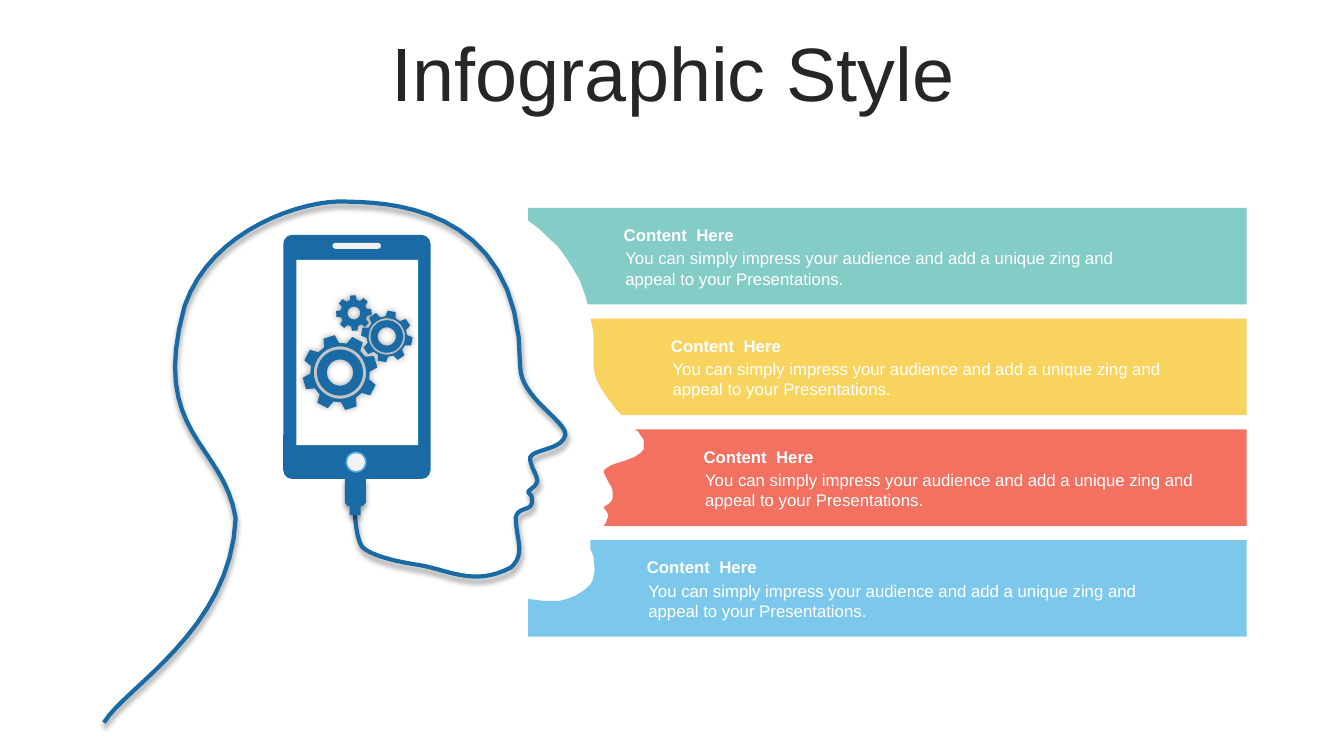
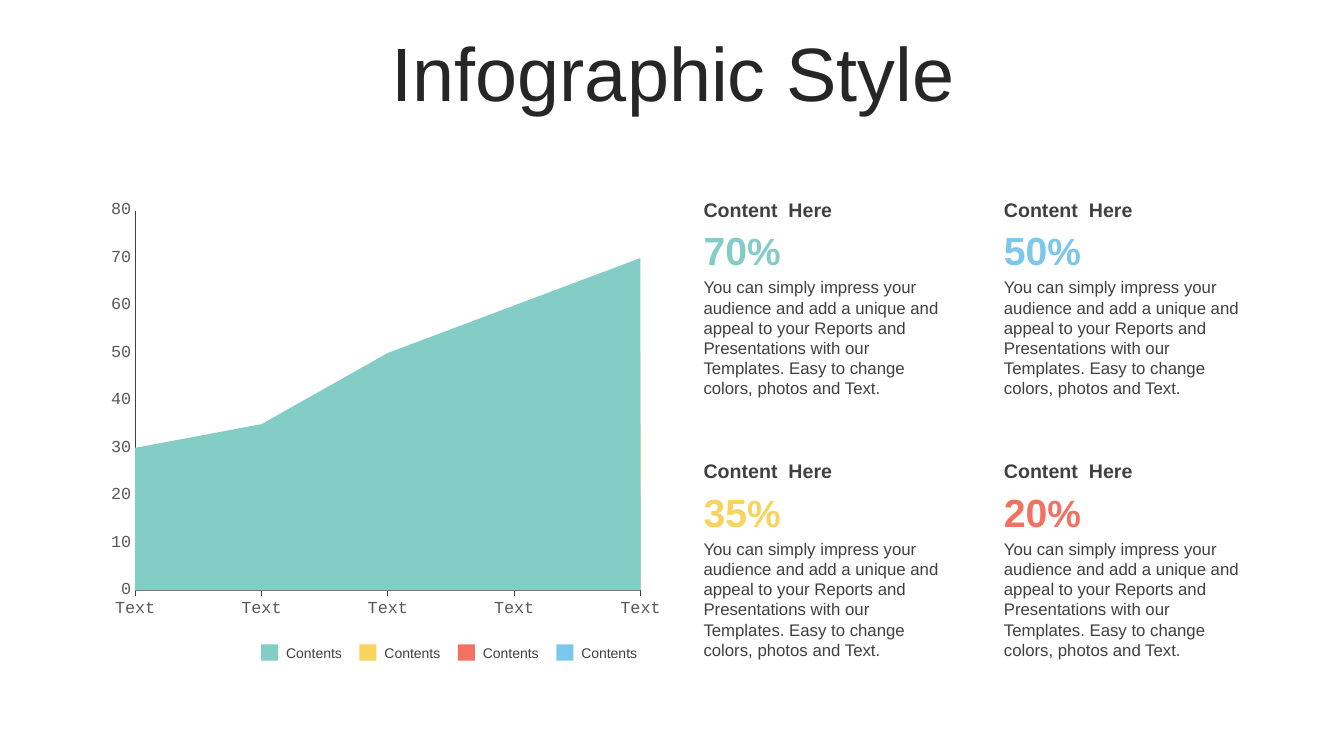
"""Build two infographic slides: a head with four bands, and an area chart with figures."""
import dataclasses
import math

import lxml.etree
import pptx
import pptx.chart.data
import pptx.dml.color
import pptx.enum.chart
import pptx.enum.shapes
import pptx.enum.text
import pptx.oxml.ns
import pptx.util

Cm = pptx.util.Cm
Pt = pptx.util.Pt
SHAPE = pptx.enum.shapes.MSO_SHAPE
MIDDLE = pptx.enum.text.MSO_ANCHOR.MIDDLE
TOP = pptx.enum.text.MSO_ANCHOR.TOP


@dataclasses.dataclass(frozen=True)
class Theme:
    """Colours, fonts and type sizes of the deck."""
    font: str = "Arial"
    chart_font: str = "Courier New"
    title_ink: str = "262626"
    ink: str = "404040"
    axis_ink: str = "595959"
    white: str = "FFFFFF"
    light: str = "F2F2F2"
    blue: str = "1A6BA5"
    button_rim: str = "5AABE5"
    teal: str = "84CCC6"
    yellow: str = "F8D45E"
    coral: str = "F27161"
    sky: str = "7CC8EC"
    title_size: int = 54
    figure_size: int = 28
    percent_size: int = 27
    heading_size: int = 14
    body_size: int = 12
    legend_size: int = 10


THEME = Theme()
ACCENTS = (THEME.teal, THEME.yellow, THEME.coral, THEME.sky)
TITLE = "Infographic Style"
HEADING = "Content  Here"
BAND_TEXT = ("You can simply impress your audience and add a unique zing and "
             "appeal to your Presentations.")
FIGURE_TEXT = ("You can simply impress your audience and add a unique and appeal to your "
               "Reports and Presentations with our Templates. Easy to change colors, "
               "photos and Text.")

BAND_TOP, BAND_PITCH, BAND_HEIGHT, BAND_RIGHT = 5.24, 2.79, 2.43, 31.42
BAND_TEXT_LEFTS = (15.47, 16.66, 17.48, 16.05)
FACE_EDGES = (
    [(14.81, 7.67), (14.73, 7.39), (14.61, 7.06), (14.45, 6.78), (14.27, 6.5),
     (14.07, 6.22), (13.82, 5.99), (13.59, 5.77), (13.31, 5.56), (13.31, 5.24)],
    [(15.67, 10.46), (15.52, 10.31), (15.39, 10.13), (15.27, 9.98), (15.14, 9.78),
     (15.04, 9.58), (14.99, 9.42), (14.96, 9.25), (14.96, 8.48), (14.94, 8.28),
     (14.88, 8.03)],
    [(15.21, 13.25), (15.27, 13.18), (15.32, 13.03), (15.32, 12.95), (15.29, 12.9),
     (15.21, 12.78), (15.34, 12.7), (15.42, 12.62), (15.44, 12.55), (15.44, 12.37),
     (15.42, 12.29), (15.32, 12.12), (15.24, 11.96), (15.21, 11.86), (15.29, 11.79),
     (15.39, 11.73), (15.52, 11.68), (15.75, 11.61), (16, 11.51), (16.08, 11.46),
     (16.18, 11.38), (16.23, 11.3), (16.23, 11.1), (16.18, 11.02), (16.08, 10.87),
     (16, 10.82)],
    [(13.31, 16.04), (13.31, 15.09), (13.46, 15.11), (13.67, 15.14), (14.1, 15.14),
     (14.3, 15.09), (14.5, 15.01), (14.71, 14.88), (14.88, 14.73), (14.94, 14.61),
     (14.99, 14.35), (14.96, 14.07), (14.94, 13.97), (14.88, 13.84), (14.88, 13.61)],
)
HEAD_START = (8.94, 12.88)
HEAD_CURVES = (
    ((8.94, 12.88), (8.97, 13.61), (9.14, 13.79)),
    ((9.32, 13.97), (9.83, 14.12), (10.44, 14.22)),
    ((11.28, 14.33), (11.91, 14.81), (12.88, 14.3)),
    ((13.26, 13.94), (13, 13.59), (13, 13.03)),
    ((13.08, 12.75), (13.41, 12.9), (13.41, 12.62)),
    ((13.41, 12.47), (13.36, 12.47), (13.31, 12.4)),
    ((13.39, 12.29), (13.51, 12.27), (13.54, 12.12)),
    ((13.54, 11.96), (13.36, 11.76), (13.36, 11.53)),
    ((13.46, 11.3), (14.17, 11.35), (14.25, 10.95)),
    ((14.25, 10.59), (13.13, 10.03), (13.11, 9.25)),
    ((13.13, 5), (9.47, 5.11), (8.69, 5.08)),
    ((7.7, 5.03), (5.33, 5.74), (4.65, 7.72)),
    ((3.76, 10.95), (5.64, 11.15), (5.94, 13.06)),
    ((5.82, 15.88), (3.15, 17.32), (2.62, 18.21)),
)
PLUG = [(8.69, 12.04), (9.22, 12.04), (9.22, 12.67), (9.14, 12.75), (9.09, 12.75),
        (9.09, 12.98), (8.81, 12.98), (8.81, 12.75), (8.76, 12.75), (8.69, 12.67)]


def rgb(colour):
    """Return the colour object for a hex string."""
    return pptx.dml.color.RGBColor.from_string(colour)


def style_font(font, size, colour, name=THEME.font, bold=False):
    """Set the usual font properties."""
    font.name, font.size, font.bold = name, Pt(size), bold
    font.color.rgb = rgb(colour)


def paint(shape, fill):
    """Give a shape a flat fill without line or shadow."""
    shape.shadow.inherit = False
    shape.line.fill.background()
    shape.fill.solid()
    shape.fill.fore_color.rgb = rgb(fill)


def add_shadow(shape, blur, distance):
    """Add a soft black shadow falling straight down."""
    shape.shadow.inherit = False
    effects = shape._element.spPr.find(pptx.oxml.ns.qn("a:effectLst"))
    shadow = lxml.etree.SubElement(
        effects, pptx.oxml.ns.qn("a:outerShdw"), blurRad=str(Pt(blur)),
        dist=str(Pt(distance)), dir="5400000", algn="ctr", rotWithShape="0")
    colour = lxml.etree.SubElement(shadow, pptx.oxml.ns.qn("a:srgbClr"), val="000000")
    lxml.etree.SubElement(colour, pptx.oxml.ns.qn("a:alpha"), val="40000")


def add_preset(slide, kind, left, top, width, height, fill):
    """Add a filled preset shape."""
    shape = slide.shapes.add_shape(kind, Cm(left), Cm(top), Cm(width), Cm(height))
    paint(shape, fill)
    return shape


def add_outline(slide, contours, closed=True):
    """Add one freeform made of several contours."""
    contours = [[(Cm(x), Cm(y)) for x, y in contour] for contour in contours]
    builder = slide.shapes.build_freeform(*contours[0][0], scale=1.0)
    for number, contour in enumerate(contours):
        if number:
            builder.move_to(*contour[0])
        builder.add_line_segments(contour[1:], close=closed)
    return builder.convert_to_shape()


def add_text(slide, text, left, top, width, height, size, colour, bold=False, anchor=MIDDLE):
    """Add a wrapped text box with one paragraph and return the paragraph."""
    box = slide.shapes.add_textbox(Cm(left), Cm(top), Cm(width), Cm(height))
    box.text_frame.word_wrap = True
    box.text_frame.vertical_anchor = anchor
    para = box.text_frame.paragraphs[0]
    para.text = text
    for span in para.runs:
        style_font(span.font, size, colour, bold=bold)
    return para


def add_titled_slide(deck):
    """Add a slide with the shared title style."""
    slide = deck.slides.add_slide(deck.slide_layouts.get_by_name("Title Only"))
    title = slide.shapes.title
    title.left, title.top, title.width, title.height = Cm(0.89), Cm(0.94), Cm(32.16), Cm(2.01)
    frame = title.text_frame
    frame.text = TITLE
    frame.auto_size = pptx.enum.text.MSO_AUTO_SIZE.NONE
    frame.vertical_anchor = MIDDLE
    para = frame.paragraphs[0]
    para.alignment = pptx.enum.text.PP_ALIGN.CENTER
    para.line_spacing = 0.9
    style_font(para.runs[0].font, THEME.title_size, THEME.title_ink)
    return slide


def curve_points(start, curves, steps=16):
    """Return points along joined cubic curves."""
    points = [start]
    for first, second, end in curves:
        corners = (points[-1], first, second, end)
        for step in range(1, steps + 1):
            t = step / steps
            weights = ((1 - t) ** 3, 3 * t * (1 - t) ** 2, 3 * t * t * (1 - t), t ** 3)
            points.append(tuple(sum(weight * corner[axis]
                                    for weight, corner in zip(weights, corners))
                                for axis in (0, 1)))
    return points


def polar(centre, radius, degrees):
    """Return the point at an angle around a centre."""
    angle = math.radians(degrees)
    return centre[0] + radius * math.cos(angle), centre[1] + radius * math.sin(angle)


def gear_contours(centre, tip, root, turn, rings):
    """Return the toothed rim and the inner circles of a gear."""
    tooth = ((root, -15), (tip, -9), (tip, 9), (root, 15))
    rim = [polar(centre, radius, turn + 45 * number + offset)
           for number in range(8) for radius, offset in tooth]
    circles = [[polar(centre, radius, degrees) for degrees in range(0, 360, 10)]
               for radius in rings]
    return [rim, *circles]


def add_band(slide, number):
    """Add one coloured band with its heading and text."""
    top = BAND_TOP + number * BAND_PITCH
    corners = [(BAND_RIGHT, top), (BAND_RIGHT, top + BAND_HEIGHT)]
    paint(add_outline(slide, [corners + FACE_EDGES[number]]), ACCENTS[number])
    left = BAND_TEXT_LEFTS[number]
    add_text(slide, HEADING, left, top + 0.3, 12.9, 0.76, THEME.body_size, THEME.white, bold=True)
    add_text(slide, BAND_TEXT, left + 0.04, top + 0.89, 12.85, 1.27,
             THEME.body_size, THEME.white, anchor=TOP)


def add_head(slide):
    """Add the head line and the plug at its end."""
    head = add_outline(slide, [curve_points(HEAD_START, HEAD_CURVES)], closed=False)
    head.fill.background()
    head.line.color.rgb = rgb(THEME.blue)
    head.line.width = Pt(3)
    plug = add_outline(slide, [PLUG])
    paint(plug, THEME.blue)
    for shape in (head, plug):
        add_shadow(shape, 4, 3)


def add_phone(slide):
    """Add the phone with gears on its screen."""
    case = add_preset(slide, SHAPE.ROUNDED_RECTANGLE, 7.14, 5.92, 3.71, 6.15, THEME.blue)
    case.adjustments[0] = 0.06
    add_preset(slide, SHAPE.RECTANGLE, 7.47, 6.55, 3.07, 4.67, THEME.white)
    speaker = add_preset(slide, SHAPE.ROUNDED_RECTANGLE, 8.38, 6.12, 1.22, 0.15, THEME.light)
    speaker.adjustments[0] = 0.5
    add_preset(slide, SHAPE.OVAL, 8.71, 11.38, 0.53, 0.53, THEME.button_rim)
    add_preset(slide, SHAPE.OVAL, 8.75, 11.42, 0.45, 0.45, THEME.light)
    gears = add_outline(slide, [
        *gear_contours((8.57, 9.39), 0.95, 0.75, -107, (0.66, 0.58, 0.33)),
        *gear_contours((9.75, 8.48), 0.65, 0.51, -124, (0.46, 0.41, 0.23)),
        *gear_contours((8.92, 7.89), 0.45, 0.34, -93, (0.16,))])
    paint(gears, THEME.blue)
    add_shadow(gears, 5, 0)


def add_area_chart(slide):
    """Add the area chart with plain axes."""
    data = pptx.chart.data.CategoryChartData()
    data.categories = ["Text"] * 5
    rows = ((5, 10, 20, 25, 20), (30, 35, 50, 60, 70), (30, 25, 35, 40, 50),
            (10, 15, 25, 30, 35), (5, 10, 20, 25, 20))
    for number, values in enumerate(rows, 1):
        data.add_series(f"Series {number}", values)
    chart = slide.shapes.add_chart(pptx.enum.chart.XL_CHART_TYPE.AREA, Cm(2.51), Cm(4.85),
                                   Cm(14.43), Cm(10.97), data).chart
    chart.has_legend = chart.has_title = False
    style_font(chart.font, THEME.legend_size, "000000", THEME.chart_font)
    chart.plots[0].vary_by_categories = False
    for series, colour in zip(chart.plots[0].series, (THEME.teal, *ACCENTS)):
        series.format.fill.solid()
        series.format.fill.fore_color.rgb = rgb(colour)
    marks = pptx.enum.chart.XL_TICK_MARK
    for axis, mark in ((chart.category_axis, marks.OUTSIDE), (chart.value_axis, marks.NONE)):
        axis.has_major_gridlines = False
        axis.major_tick_mark, axis.minor_tick_mark = mark, marks.NONE
        axis.format.line.color.rgb = rgb(THEME.ink)
        axis.format.line.width = Pt(0.75)
        style_font(axis.tick_labels.font, THEME.body_size, THEME.axis_ink, THEME.chart_font)
    chart.value_axis.minimum_scale, chart.value_axis.maximum_scale = 0, 80
    chart.value_axis.major_unit = 10
    for crossing in chart.value_axis._element.findall(pptx.oxml.ns.qn("c:crossBetween")):
        crossing.set("val", "midCat")


def add_legend(slide):
    """Add the row of colour keys under the chart."""
    for number, colour in enumerate(ACCENTS):
        left = 6.58 + number * 2.48
        add_preset(slide, SHAPE.RECTANGLE, left, 16.24, 0.43, 0.41, colour)
        add_text(slide, "Contents", left + 0.38, 16.1, 2.13, 0.69, THEME.legend_size, THEME.ink)


def add_figure(slide, left, top, value, colour):
    """Add a heading, a large percentage and its text."""
    add_text(slide, HEADING, left, top, 6.65, 0.86, THEME.heading_size, THEME.ink, bold=True)
    add_text(slide, FIGURE_TEXT, left, top + 2.01, 6.65, 3.33,
             THEME.body_size, THEME.ink, anchor=TOP)
    para = add_text(slide, value, left, top + 0.73, 6.65, 1.45,
                    THEME.figure_size, colour, bold=True)
    span = para.add_run()
    span.text = "%"
    style_font(span.font, THEME.percent_size, colour, bold=True)


def main():
    """Build and save the deck."""
    deck = pptx.Presentation()
    deck.slide_width, deck.slide_height = Cm(33.87), Cm(19.05)
    head_slide = add_titled_slide(deck)
    for number in range(len(ACCENTS)):
        add_band(head_slide, number)
    add_head(head_slide)
    add_phone(head_slide)

    chart_slide = add_titled_slide(deck)
    add_legend(chart_slide)
    figures = (("70", THEME.teal), ("50", THEME.sky), ("35", THEME.yellow), ("20", THEME.coral))
    for number, (value, colour) in enumerate(figures):
        row, column = divmod(number, 2)
        add_figure(chart_slide, 17.48 + column * 7.57, 4.85 + row * 6.59, value, colour)
    add_area_chart(chart_slide)
    deck.save("out.pptx")


if __name__ == "__main__":
    main()
